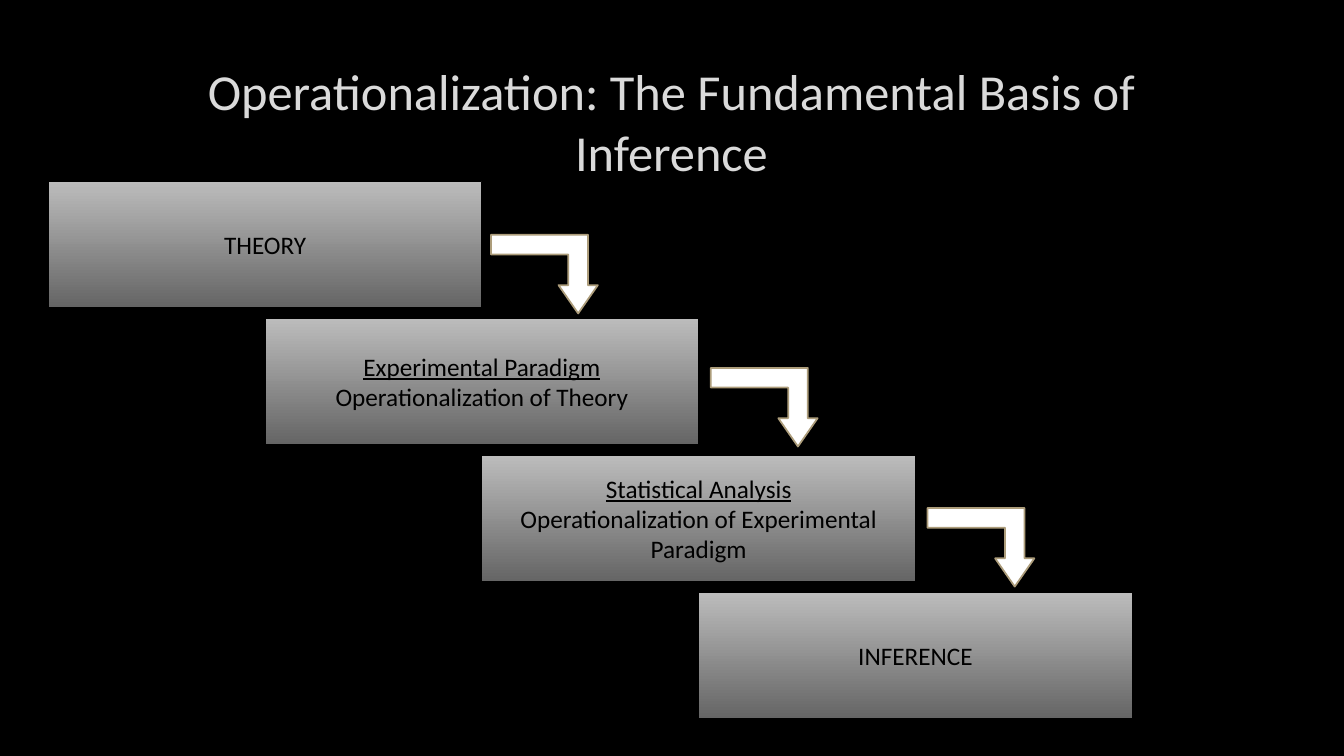
from pptx import Presentation
from pptx.dml.color import RGBColor
from pptx.enum import shapes, text
from pptx.util import Inches, Pt

BLACK = RGBColor(0x00, 0x00, 0x00)
WHITE = RGBColor(0xFF, 0xFF, 0xFF)
PALE = RGBColor(0xDA, 0xDA, 0xDA)
LIGHT = RGBColor(0xBC, 0xBC, 0xBC)
DARK = RGBColor(0x65, 0x65, 0x65)
TAN = RGBColor(0xAD, 0x9D, 0x7B)

STEPS = [
    ["THEORY"],
    ["Experimental Paradigm", "Operationalization of Theory"],
    ["Statistical Analysis", "Operationalization of Experimental Paradigm"],
    ["INFERENCE"],
]
ARROWS = [(4.87, 2.33), (7.05, 3.65), (9.2, 5.04)]


def write(shape, lines, size, color):
    """Fill a shape with centred lines, underlining a heading that has text below."""
    frame = shape.text_frame
    frame.word_wrap = True
    frame.auto_size = text.MSO_AUTO_SIZE.NONE
    frame.vertical_anchor = text.MSO_ANCHOR.MIDDLE
    for i, line in enumerate(lines):
        para = frame.add_paragraph() if i else frame.paragraphs[0]
        para.alignment = text.PP_ALIGN.CENTER
        run = para.add_run()
        run.text = line
        run.font.name = "Calibri"
        run.font.size = Pt(size)
        run.font.color.rgb = color
        run.font.underline = i == 0 and len(lines) > 1


def add_title(slide, title):
    """Add the slide title."""
    box = slide.shapes.add_textbox(Inches(1), Inches(0.67), Inches(11.32), Inches(1.06))
    write(box, [title], 36, PALE)


def add_step(slide, left, top, lines):
    """Add one gradient box of the staircase."""
    box = slide.shapes.add_shape(
        shapes.MSO_SHAPE.RECTANGLE, Inches(left), Inches(top), Inches(4.3), Inches(1.25))
    box.shadow.inherit = False
    box.fill.gradient()
    box.fill.gradient_angle = 270
    for stop, color in zip(box.fill.gradient_stops, (LIGHT, DARK)):
        stop.color.rgb = color
    box.line.color.rgb = BLACK
    box.line.width = Pt(0.75)
    write(box, lines, 18, BLACK)


def add_arrow(slide, left, top):
    """Add a bent arrow that points down to the next step."""
    arrow = slide.shapes.add_shape(
        shapes.MSO_SHAPE.BENT_UP_ARROW, Inches(left), Inches(top), Inches(1.06), Inches(0.78))
    arrow.shadow.inherit = False
    arrow.adjustments[2] = 0.36
    arrow.element.spPr.xfrm.set("flipV", "1")
    arrow.fill.solid()
    arrow.fill.fore_color.rgb = WHITE
    arrow.line.color.rgb = TAN
    arrow.line.width = Pt(1.25)


def main():
    """Build and save the slide."""
    deck = Presentation()
    deck.slide_width, deck.slide_height = Inches(13.33), Inches(7.5)
    slide = deck.slides.add_slide(deck.slide_layouts[6])
    slide.background.fill.solid()
    slide.background.fill.fore_color.rgb = BLACK
    add_title(slide, "Operationalization: The Fundamental Basis of Inference")
    for i, lines in enumerate(STEPS):
        add_step(slide, 0.48 + 2.15 * i, 1.8 + 1.36 * i, lines)
    for left, top in ARROWS:
        add_arrow(slide, left, top)
    deck.save("out.pptx")


if __name__ == "__main__":
    main()
